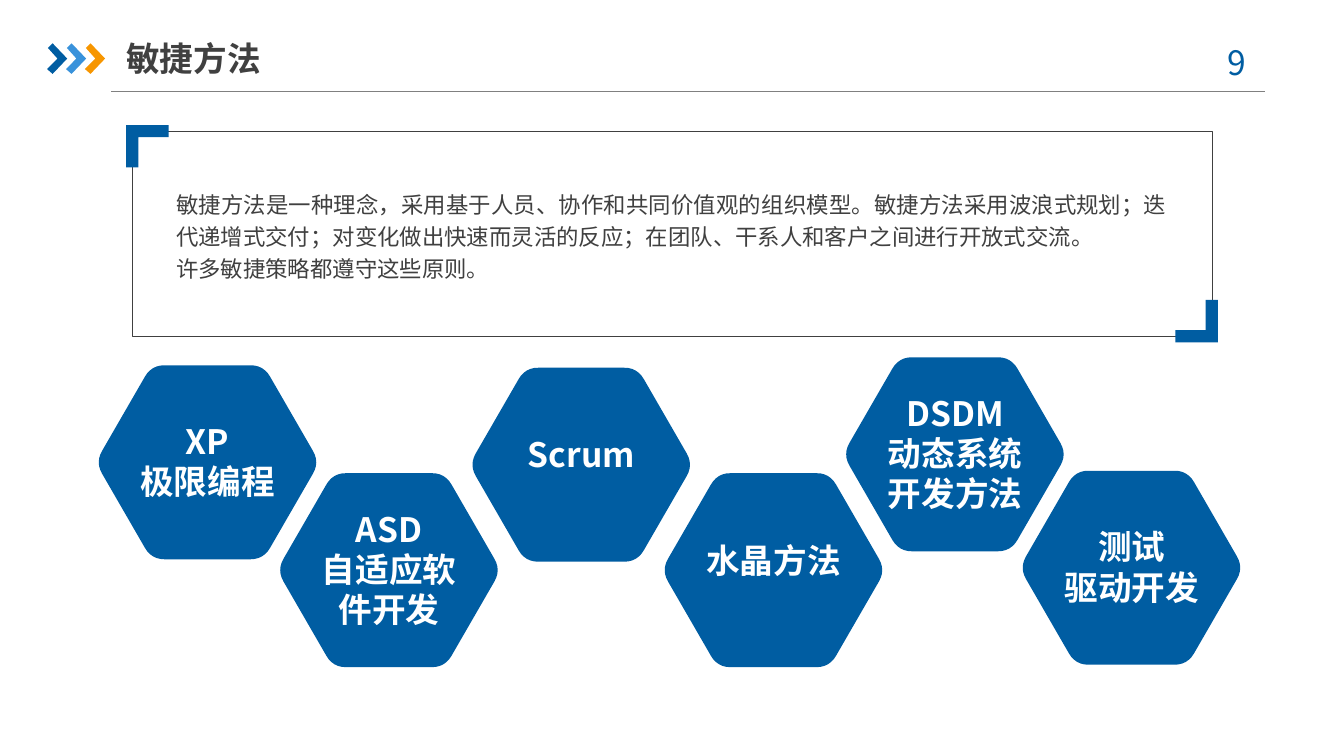
from dataclasses import dataclass
from math import cos, pi, sin

from lxml import etree
from pptx import Presentation
from pptx.dml.color import RGBColor
from pptx.enum import shapes, text
from pptx.oxml import ns
from pptx.util import Pt


@dataclass(frozen=True)
class Theme:
    """Colours, font and type sizes of the slide."""
    blue: str = "005DA2"
    sky: str = "3992DB"
    gold: str = "F79600"
    ink: str = "404040"
    rule: str = "808080"
    white: str = "FFFFFF"
    font: str = "Noto Sans CJK SC"
    head: int = 18
    body: int = 12


T = Theme()
ALIGN = text.PP_ALIGN


def write(shape, lines, size, hue, bold=False, align=ALIGN.LEFT,
          gap=None, pad=(0, 0), mid=False):
    """Fill a shape with one paragraph per line; pad is (side, top)."""
    frame = shape.text_frame
    frame.word_wrap = True
    frame.auto_size = text.MSO_AUTO_SIZE.NONE
    frame.margin_left = frame.margin_right = Pt(pad[0])
    frame.margin_top = frame.margin_bottom = Pt(pad[1])
    frame.vertical_anchor = text.MSO_ANCHOR.MIDDLE if mid else text.MSO_ANCHOR.TOP
    for i, line in enumerate(lines):
        para = frame.add_paragraph() if i else frame.paragraphs[0]
        para.alignment = align
        if gap:
            para.line_spacing = gap
        run = para.add_run()
        run.text = line
        run.font.size, run.font.bold = Pt(size), bold
        run.font.name = T.font
        run.font.color.rgb = RGBColor.from_string(hue)
        east = etree.SubElement(run._r.get_or_add_rPr(), ns.qn("a:ea"))
        east.set("typeface", T.font)


def label(slide, box, lines, size, hue, **style):
    """Add a text box at box (left, top, width, height)."""
    write(slide.shapes.add_textbox(*map(Pt, box)), lines, size, hue, **style)


def outline(slide, dots, hue):
    """Draw a closed, filled outline through the given points."""
    pts = [(Pt(x), Pt(y)) for x, y in dots]
    pen = slide.shapes.build_freeform(*pts[0])
    pen.add_line_segments(pts[1:], close=True)
    shape = pen.convert_to_shape()
    shape.shadow.inherit = False
    shape.fill.solid()
    shape.fill.fore_color.rgb = RGBColor.from_string(hue)
    shape.line.fill.background()


def header(slide, box, title, page):
    """Place the chevrons, title, page number and rule in box."""
    x, y, w, h = box
    arrow = [(0.5, 2.5), (3, 0), (10.8, 8.2), (3, 16.4), (0, 13.8), (5.6, 8.2)]
    for i, hue in enumerate((T.blue, T.sky, T.gold)):
        outline(slide, [(x + 10.15 * i + a, y + 7.2 + b) for a, b in arrow], hue)
    name = slide.shapes.title
    name.left, name.top, name.width, name.height = map(Pt, (x + 42.5, y, 168, 30))
    write(name, [title], T.head, T.ink, bold=True, pad=(0, 3.6), mid=True)
    label(slide, (x + w - 39.5, y + 3, 52.5, 29), [page], T.head, T.blue,
          align=ALIGN.CENTER, pad=(7.2, 3.6))
    ends = map(Pt, (x + 34.5, y + h, x + w, y + h))
    rule = slide.shapes.add_connector(shapes.MSO_CONNECTOR.STRAIGHT, *ends)
    rule.line.width = Pt(0.75)
    rule.line.color.rgb = RGBColor.from_string(T.rule)
    etree.SubElement(rule._element.spPr, ns.qn("a:effectLst"))


def panel(slide, box, lines):
    """Place the framed text with a bracket at two opposite corners."""
    x, y, w, h = box
    frame = slide.shapes.add_shape(shapes.MSO_SHAPE.ROUNDED_RECTANGLE,
                                   *map(Pt, box))
    frame.adjustments[0] = 0
    frame.shadow.inherit = False
    frame.fill.background()
    frame.line.width = Pt(0.25)
    frame.line.color.rgb = RGBColor.from_string(T.ink)
    label(slide, (x + 23.5, y + 29.3, w - 47, 52), lines, T.body, T.ink,
          align=ALIGN.JUSTIFY, gap=1.2)
    arm, thick, out = 22.7, 6.5, 3.2
    bend = [(0, 0), (arm, 0), (arm, thick), (thick, thick), (thick, arm), (0, arm)]
    for cx, cy, way in ((x - out, y - out, 1), (x + w + out, y + h + out, -1)):
        outline(slide, [(cx + way * a, cy + way * b) for a, b in bend], T.blue)


def hexagon(rad, cut):
    """Return points of a hexagon about (0, 0) with softened corners."""
    dots = []
    for k in range(6):
        cx, cy = rad * cos(k * pi / 3), rad * sin(k * pi / 3)
        ins, outs = (k - 2) * pi / 3, (k + 2) * pi / 3
        for i in range(7):
            t = i / 6
            a, b = cut * (1 - t) ** 2, cut * t ** 2
            dots.append((cx + a * cos(ins) + b * cos(outs),
                         cy + a * sin(ins) + b * sin(outs)))
    return dots


def cell(slide, spot, lines, rows):
    """Place a hexagon centred on spot, with its label of some rows."""
    x, y = spot
    outline(slide, [(x + a, y + b) for a, b in hexagon(60, 7)], T.blue)
    high = 21.6 * rows + 1.4
    lift = 5 if rows == 1 else 0
    label(slide, (x - 38.2, y - high / 2 - lift, 76.4, high), lines,
          T.head, T.white, bold=True, align=ALIGN.CENTER)


def main():
    """Build the slide and save it."""
    deck = Presentation()
    deck.slide_width, deck.slide_height = Pt(720), Pt(405)
    slide = deck.slides.add_slide(deck.slide_layouts[5])
    header(slide, (25.2, 16, 652.4, 33.2), "敏捷方法", "9 ")
    panel(slide, (70.8, 70.2, 578.4, 110), [
        "敏捷方法是一种理念，采用基于人员、协作和共同价值观的组织模型。"
        "敏捷方法采用波浪式规划；迭代递增式交付；对变化做出快速而灵活的反应；"
        "在团队、干系人和客户之间进行开放式交流。",
        "许多敏捷策略都遵守这些原则。"])
    for spot, lines, rows in (
            ((111.2, 247.7), ["XP", "极限编程"], 2),
            ((208.4, 305.5), ["ASD", "自适应软件开发"], 3),
            ((311.4, 249), ["Scrum"], 1),
            ((414.4, 305.5), ["水晶方法"], 1),
            ((511.6, 243.4), ["DSDM", "动态系统开发方法"], 3),
            ((606.2, 304.2), ["测试", "驱动开发"], 2)):
        cell(slide, spot, lines, rows)
    deck.save("out.pptx")


main()
